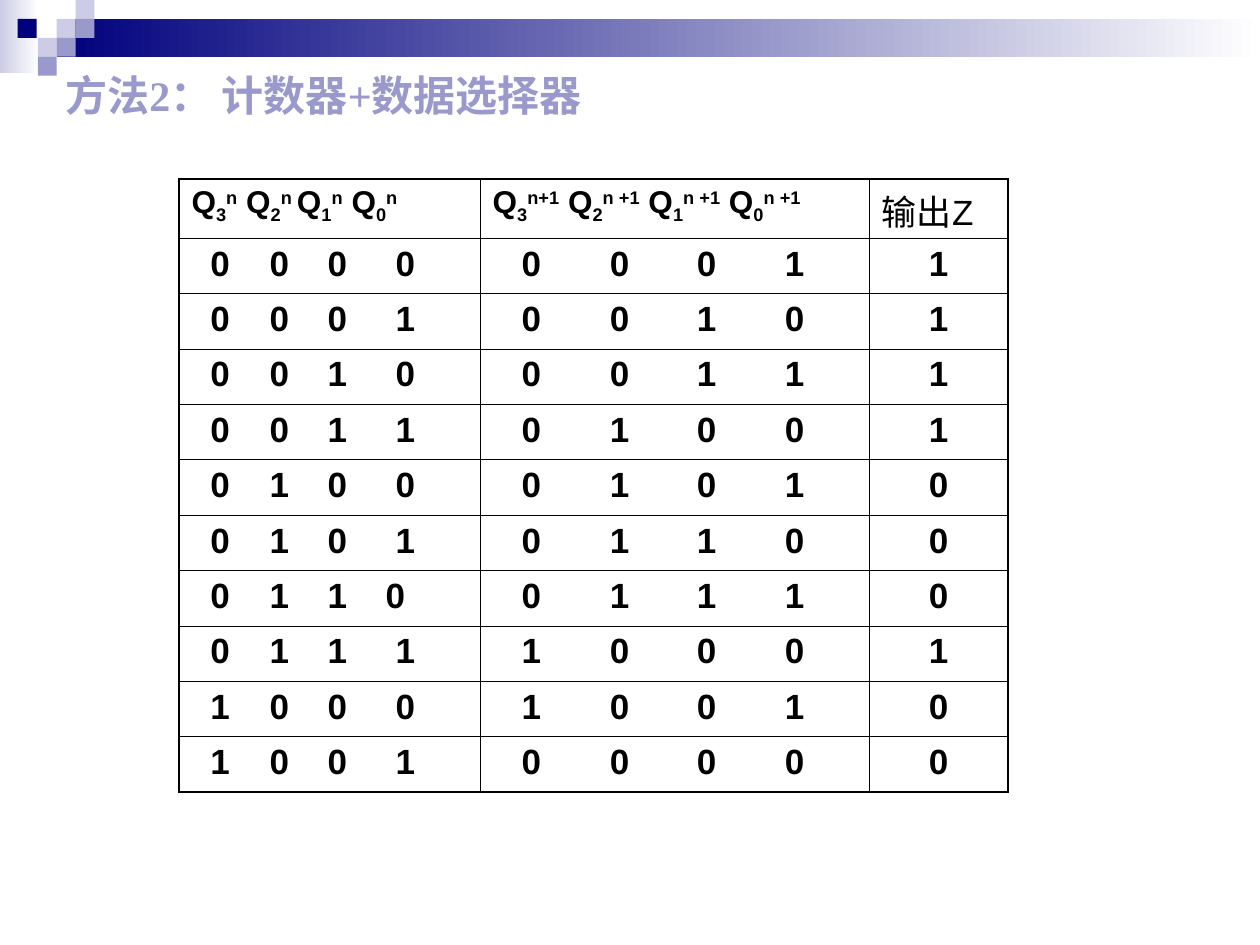
"""Build the slide with the state table of a decimal counter and its output Z."""
from dataclasses import dataclass

from lxml import etree
from pptx import Presentation
from pptx.dml.color import RGBColor
from pptx.enum.shapes import MSO_SHAPE
from pptx.enum.text import MSO_AUTO_SIZE, PP_ALIGN
from pptx.oxml.ns import qn
from pptx.util import Inches, Pt

RECT = MSO_SHAPE.RECTANGLE
GROW = MSO_AUTO_SIZE.SHAPE_TO_FIT_TEXT
LEFT, MID = PP_ALIGN.LEFT, PP_ALIGN.CENTER


@dataclass(frozen=True)
class Theme:
    """Colours, fonts, type sizes and line widths."""
    navy: str = "00007D"
    mauve: str = "9999CC"
    pale: str = "CCCCE6"
    white: str = "FFFFFF"
    black: str = "000000"
    serif: str = "Times New Roman"
    sans: str = "Arial"
    title: int = 24
    body: int = 20
    head: int = 18
    thick: float = 1.08
    thin: float = 0.45


class Deck:
    """Holds the theme and the current slide."""

    def __init__(self, theme):
        """Open a blank slide."""
        self.theme = theme
        self.prs = Presentation()
        self.prs.slide_width, self.prs.slide_height = Inches(10), Inches(7.5)
        self.slide = self.prs.slides.add_slide(self.prs.slide_layouts[6])

    def block(self, x, y, w, h, color, end=None):
        """Draw a plain rectangle, fading to the end colour if one is given."""
        shape = self.slide.shapes.add_shape(RECT, Inches(x), Inches(y), Inches(w), Inches(h))
        shape.shadow.inherit = False
        shape.line.fill.background()
        if end is None:
            shape.fill.solid()
            shape.fill.fore_color.rgb = RGBColor.from_string(color)
            return
        shape.fill.gradient()
        shape.fill.gradient_angle = 0
        for stop, tone, place in zip(shape.fill.gradient_stops, (color, end), (0, 1)):
            stop.color.rgb = RGBColor.from_string(tone)
            stop.position = place

    def run(self, para, text, size, font, color, bold=True, base=0):
        """Add one run, raised or lowered by base percent."""
        run = para.add_run()
        run.text = text
        run.font.size, run.font.bold, run.font.name = Pt(size), bold, font
        run.font.color.rgb = RGBColor.from_string(color)
        if base:
            run._r.get_or_add_rPr().set("baseline", str(base * 1000))

    def title(self, x, y, w, h, text):
        """Add the slide title."""
        frame = self.slide.shapes.add_textbox(Inches(x), Inches(y), Inches(w), Inches(h)).text_frame
        frame.word_wrap = True
        frame.auto_size = GROW
        look = self.theme
        self.run(frame.paragraphs[0], text, look.title, look.serif, look.mauve)

    def table(self, x, y, cols, rows):
        """Add an unfilled table with a thick frame and thin inner lines."""
        frame = self.slide.shapes.add_table(len(rows), len(cols), Inches(x), Inches(y),
                                            Inches(sum(cols)), Inches(sum(rows)))
        grid = frame.table
        grid.first_row = grid.horz_banding = False
        for col, width in zip(grid.columns, cols):
            col.width = Inches(width)
        for row, height in zip(grid.rows, rows):
            row.height = Inches(height)
        for r in range(len(rows)):
            for c in range(len(cols)):
                cell = grid.cell(r, c)
                self.edge(cell, "L", c == 0)
                self.edge(cell, "R", c == len(cols) - 1)
                self.edge(cell, "T", r == 0)
                self.edge(cell, "B", r == len(rows) - 1)
                cell.fill.background()
        return grid

    def edge(self, cell, side, outer):
        """Draw one border of a cell."""
        look = self.theme
        width = Pt(look.thick if outer else look.thin)
        line = etree.SubElement(cell._tc.get_or_add_tcPr(), qn("a:ln" + side), w=str(int(width)))
        fill = etree.SubElement(line, qn("a:solidFill"))
        etree.SubElement(fill, qn("a:srgbClr"), val=look.black)

    def heads(self, cell, parts):
        """Write state names from (letter, index, power) parts."""
        look = self.theme
        para = cell.text_frame.paragraphs[0]
        for part in parts:
            for text, base in zip(part, (0, -25, 30)):
                self.run(para, text, look.head, look.sans, look.black, base=base)

    def words(self, cell, text, align=LEFT, bold=True):
        """Write plain text in a cell."""
        look = self.theme
        para = cell.text_frame.paragraphs[0]
        para.alignment = align
        self.run(para, text, look.body, look.sans, look.black, bold)

    def bits(self, cell, code, stops):
        """Write each bit of a code at its own tab stop."""
        props = cell.text_frame.paragraphs[0]._p.get_or_add_pPr()
        tabs = etree.SubElement(props, qn("a:tabLst"))
        for stop in stops:
            etree.SubElement(tabs, qn("a:tab"), pos=str(int(Inches(stop))), algn="l")
        self.words(cell, "".join("\t" + bit for bit in code))


def main():
    """Compose the slide and save it."""
    look = Theme()
    deck = Deck(look)
    deck.block(0, 0, 0.31, 0.58, look.pale, look.white)
    deck.block(0.45, 0.15, 9.55, 0.3, look.navy, look.white)
    unit = 0.15
    tiles = [(0.45, 0.15, look.pale), (0.6, 0, look.pale), (0.6, 0.15, look.mauve),
             (0.3, 0.3, look.pale), (0.14, 0.15, look.navy), (0.45, 0.3, look.mauve),
             (0.3, 0.45, look.mauve)]
    for x, y, color in tiles:
        deck.block(x, y, unit, unit, color)
    deck.title(0.42, 0.5, 4.43, 0.9, "方法2： 计数器+数据选择器")

    outs = "1111000100"
    count = len(outs)
    grid = deck.table(1.42, 1.42, [2.39, 3.09, 1.1], [0.47] + [0.44] * count)
    deck.heads(grid.cell(0, 0), [("Q", "3", "n"), (" Q", "2", "n "), ("Q", "1", "n"), (" Q", "0", "n")])
    deck.heads(grid.cell(0, 1), [("Q", "3", "n+1")] + [(" Q", i, "n +1") for i in "210"])
    deck.words(grid.cell(0, 2), "输出Z", bold=False)
    for state, out in enumerate(outs):
        row = state + 1
        last = 1.54 if state == 6 else 1.62
        deck.bits(grid.cell(row, 0), f"{state:04b}", [0.15, 0.62, 1.08, last])
        deck.bits(grid.cell(row, 1), f"{row % count:04b}", [0.23, 0.93, 1.62, 2.32])
        deck.words(grid.cell(row, 2), out, MID)
    deck.prs.save("out.pptx")


if __name__ == "__main__":
    main()
